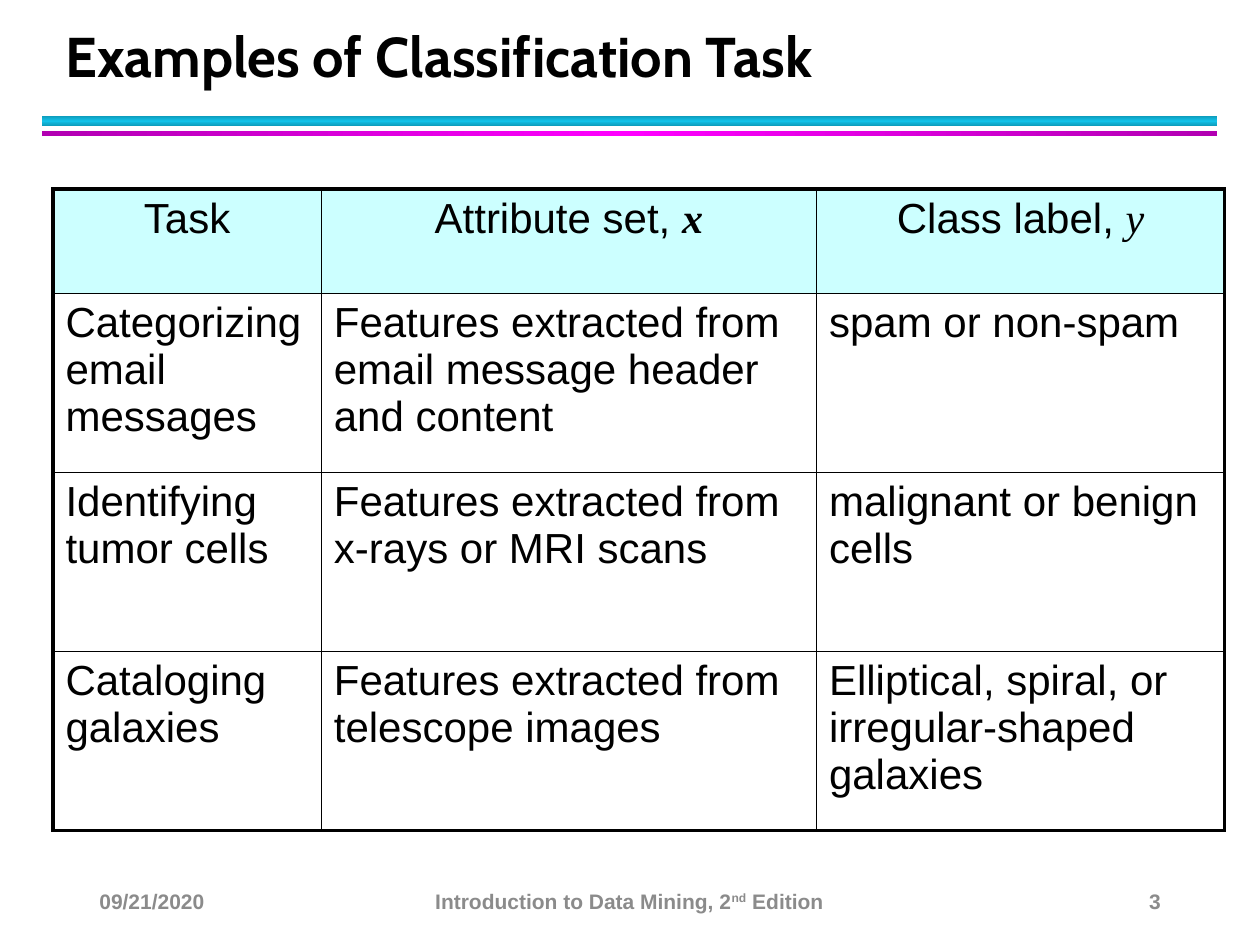
from dataclasses import dataclass

from lxml import etree
from pptx import Presentation
from pptx import util as u
from pptx.dml.color import RGBColor
from pptx.enum import shapes, text
from pptx.oxml.ns import qn

BLACK, GREY, HEADER_FILL = "000000", "8B8B8B", "CCFFFF"
THIN, THICK = 0.96, 2.21
ALIGN = text.PP_ALIGN
ANCHOR = text.MSO_ANCHOR


@dataclass
class Run:
    """A stretch of text with what sets it apart from its paragraph."""
    words: str
    font: str = "Arial"
    bold: bool = False
    italic: bool = False
    baseline: int = 0


@dataclass
class Band:
    top: float
    height: float
    edge: str
    middle: str
    angle: int


@dataclass
class Footer:
    left: float
    width: float
    runs: list[Run]
    align: ALIGN


BANDS = [
    Band(0.92, 0.08, "0E9BBA", "12C2E9", 90),
    Band(1.04, 0.04, "B200B2", "FF00FF", 0),
]
COLUMN_WIDTHS = [2.13, 3.93, 3.24]
ROW_HEIGHTS = [0.83, 1.42, 1.42, 1.42]
ROWS = [
    [
        [Run("Task")],
        [Run("Attribute set, "), Run("x", "Times New Roman", bold=True, italic=True)],
        [Run("Class label, "), Run("y", "Times New Roman", italic=True)],
    ],
    [
        [Run("Categorizing email messages")],
        [Run("Features extracted from email message header and content")],
        [Run("spam or non-spam")],
    ],
    [
        [Run("Identifying tumor cells")],
        [Run("Features extracted from x-rays or MRI scans")],
        [Run("malignant or benign cells")],
    ],
    [
        [Run("Cataloging galaxies")],
        [Run("Features extracted from telescope images")],
        [Run("Elliptical, spiral, or irregular-shaped galaxies")],
    ],
]
FOOTERS = [
    Footer(0.69, 2.25, [Run("09/21/2020", bold=True)], ALIGN.LEFT),
    Footer(3.31, 3.37, [
        Run("Introduction to Data Mining, 2", bold=True),
        Run("nd", bold=True, baseline=30),
        Run(" Edition", bold=True),
    ], ALIGN.CENTER),
    Footer(7.06, 2.25, [Run("3", bold=True)], ALIGN.RIGHT),
]


def rgb(value: str) -> RGBColor:
    return RGBColor.from_string(value)


def write(frame, runs: list[Run], *, size: float, color: str = BLACK,
          align=ALIGN.LEFT, before: float = 0, after: float = 0,
          line_spacing=None) -> None:
    frame.word_wrap = True
    paragraph = frame.paragraphs[0]
    paragraph.alignment = align
    paragraph.space_before, paragraph.space_after = u.Pt(before), u.Pt(after)
    if line_spacing:
        paragraph.line_spacing = u.Pt(line_spacing)
    for item in runs:
        run = paragraph.add_run()
        run.text = item.words
        font = run.font
        font.name, font.size = item.font, u.Pt(size)
        font.bold, font.italic = item.bold, item.italic
        font.color.rgb = rgb(color)
        if item.baseline:
            run._r.get_or_add_rPr().set("baseline", str(item.baseline * 1000))


def add_text(slide, left: float, top: float, width: float, height: float,
             runs: list[Run], anchor, **text_format) -> None:
    box = slide.shapes.add_textbox(
        u.Inches(left), u.Inches(top), u.Inches(width), u.Inches(height))
    box.text_frame.vertical_anchor = anchor
    write(box.text_frame, runs, **text_format)


def add_band(slide, band: Band) -> None:
    shape = slide.shapes.add_shape(
        shapes.MSO_SHAPE.RECTANGLE, u.Inches(0.33), u.Inches(band.top),
        u.Inches(9.33), u.Inches(band.height))
    shape.shadow.inherit = False
    shape.line.fill.background()
    shape.fill.gradient()
    shape.fill.gradient_angle = band.angle
    stops = shape._element.spPr.find(".//" + qn("a:gsLst"))
    for stop in list(stops):
        stops.remove(stop)
    for position, color in [(0, band.edge), (50, band.middle), (100, band.edge)]:
        stop = etree.SubElement(stops, qn("a:gs"), pos=str(position * 1000))
        etree.SubElement(stop, qn("a:srgbClr"), val=color)


def set_borders(cell, widths: dict[str, float]) -> None:
    """Put the border lines before the cell fill, as the schema asks."""
    properties = cell._tc.get_or_add_tcPr()
    for index, (side, width) in enumerate(widths.items()):
        line = etree.Element(qn(f"a:{side}"), w=str(u.Pt(width)))
        fill = etree.SubElement(line, qn("a:solidFill"))
        etree.SubElement(fill, qn("a:srgbClr"), val=BLACK)
        properties.insert(index, line)


def add_task_table(slide) -> None:
    last_row, last_column = len(ROWS) - 1, len(COLUMN_WIDTHS) - 1
    table = slide.shapes.add_table(
        len(ROWS), len(COLUMN_WIDTHS), u.Inches(0.42), u.Inches(1.5),
        u.Inches(sum(COLUMN_WIDTHS)), u.Inches(sum(ROW_HEIGHTS))).table
    table.first_row = table.horz_banding = False
    for column, width in zip(table.columns, COLUMN_WIDTHS):
        column.width = u.Inches(width)
    for r, (height, row) in enumerate(zip(ROW_HEIGHTS, ROWS)):
        table.rows[r].height = u.Inches(height)
        for c, runs in enumerate(row):
            cell = table.cell(r, c)
            if r == 0:
                cell.fill.solid()
                cell.fill.fore_color.rgb = rgb(HEADER_FILL)
            else:
                cell.fill.background()
            write(cell.text_frame, runs, size=24, before=2.4, after=4,
                  align=ALIGN.CENTER if r == 0 else ALIGN.LEFT)
            set_borders(cell, {
                "lnL": THICK if c == 0 else THIN,
                "lnR": THICK if c == last_column else THIN,
                "lnT": THICK if r == 0 else THIN,
                "lnB": THICK if r == last_row else THIN,
            })


def main() -> None:
    presentation = Presentation()
    presentation.slide_width, presentation.slide_height = u.Inches(10), u.Inches(7.5)
    slide = presentation.slides.add_slide(presentation.slide_layouts[6])
    for band in BANDS:
        add_band(slide, band)
    add_text(slide, 0.42, 0.17, 9.05, 0.58,
             [Run("Examples of Classification Task", "Cabin", bold=True)],
             ANCHOR.BOTTOM, size=32, line_spacing=36)
    add_task_table(slide)
    for footer in FOOTERS:
        add_text(slide, footer.left, 6.95, footer.width, 0.4, footer.runs,
                 ANCHOR.MIDDLE, size=12, color=GREY, align=footer.align)
    presentation.save("out.pptx")


if __name__ == "__main__":
    main()
